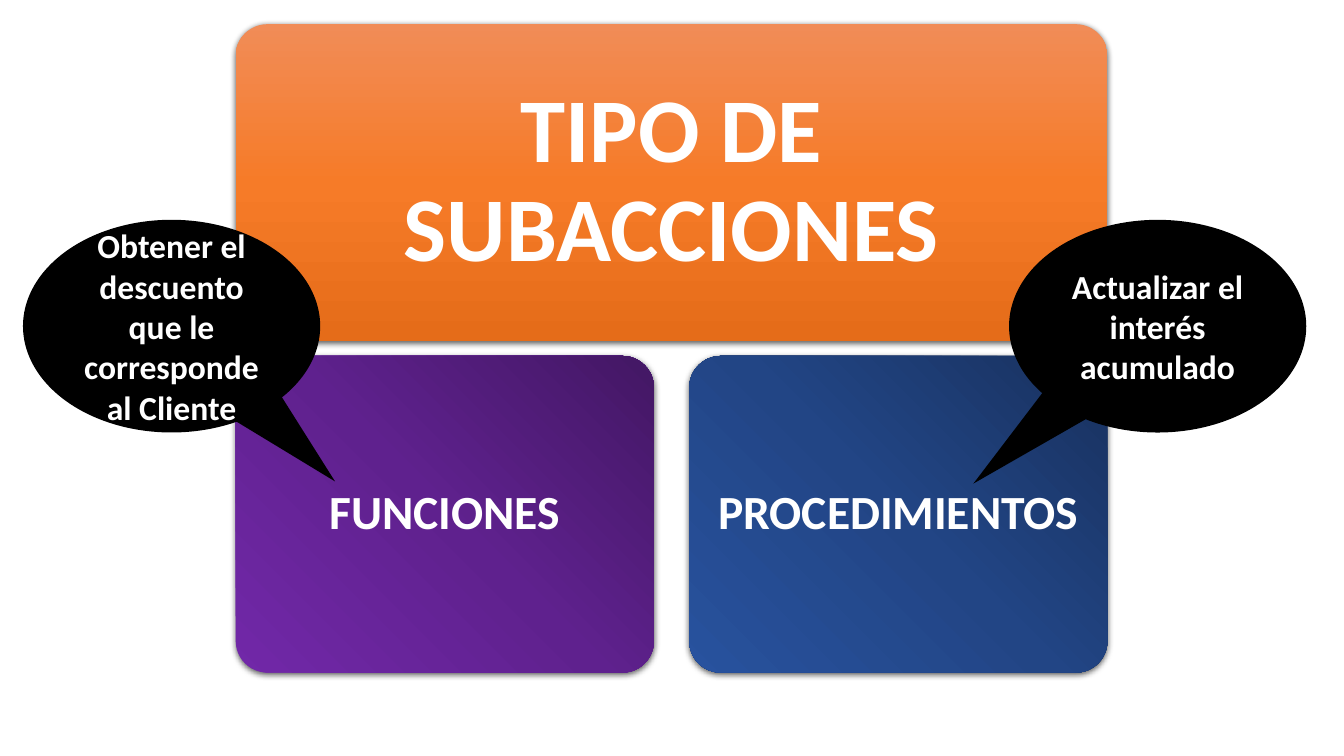
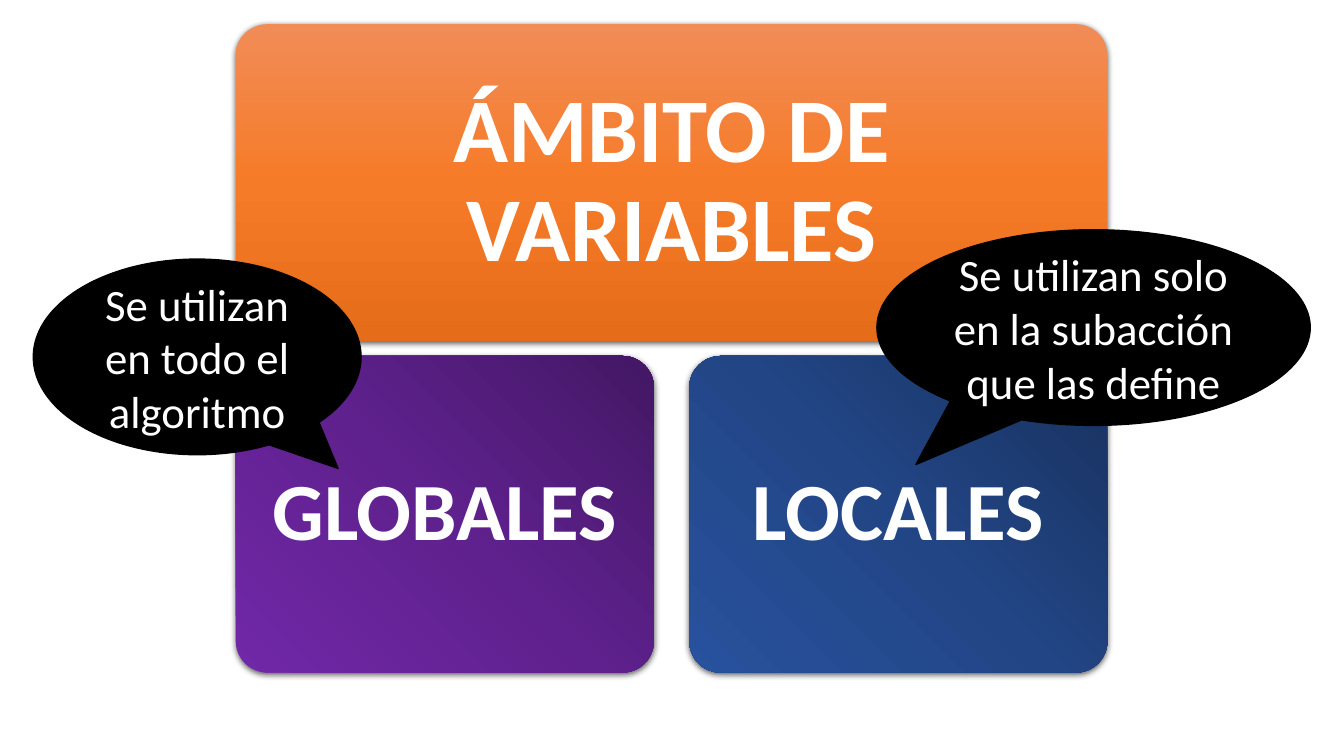
from dataclasses import dataclass

from pptx import Presentation
from pptx.dml.color import RGBColor
from pptx.enum.shapes import MSO_SHAPE
from pptx.enum.text import MSO_ANCHOR, PP_ALIGN
from pptx.oxml import parse_xml
from pptx.oxml.ns import nsdecls, qn
from pptx.util import Cm, Pt

ROUNDED = MSO_SHAPE.ROUNDED_RECTANGLE
BUBBLE = MSO_SHAPE.OVAL_CALLOUT
MIDDLE = MSO_ANCHOR.MIDDLE
CENTER = PP_ALIGN.CENTER

# Gradient directions, as DrawingML elements
DOWNWARD = '<a:lin ang="5400000" scaled="0"/>'
DIAGONAL = '<a:lin ang="8100000" scaled="0"/>'
FROM_TOP_RIGHT = ('<a:path path="circle">'
                  '<a:fillToRect l="100000" b="100000"/></a:path>')


@dataclass(frozen=True)
class Theme:
    font: str = "Calibri"
    text: str = "FFFFFF"
    bubble: str = "000000"
    shadow: str = "000000"
    orange: tuple = ("F18C57", "F67B28", "E56C19")
    purple: tuple = ("431764", "5F218E", "7128A8")
    blue: tuple = ("18315E", "224585", "28529E")
    title_size: int = 65


THEME = Theme()

# Diagram grid, in centimetres: one wide card above two equal ones
LEFT, TOP = 5.94, 0.61
WIDTH, CARD_HEIGHT = 21.97, 7.98
COLUMN_GAP, ROW_GAP = 0.89, 0.38
HALF_WIDTH = (WIDTH - COLUMN_GAP) / 2
RIGHT_COLUMN = LEFT + HALF_WIDTH + COLUMN_GAP
SECOND_ROW = TOP + CARD_HEIGHT + ROW_GAP


def write_text(frame, text, *, size, bold=True, line_spacing=None, inset=None):
    """Put one centred paragraph in a text frame."""
    frame.word_wrap = True
    frame.vertical_anchor = MIDDLE
    if inset is not None:
        frame.margin_left = frame.margin_right = Cm(inset)
        frame.margin_top = frame.margin_bottom = Cm(inset)
    paragraph = frame.paragraphs[0]
    paragraph.alignment = CENTER
    if line_spacing is not None:
        paragraph.line_spacing = line_spacing
    run = paragraph.add_run()
    run.text = text
    run.font.name = THEME.font
    run.font.size = Pt(size)
    run.font.bold = bold
    run.font.color.rgb = RGBColor.from_string(THEME.text)


class Deck:
    def __init__(self, theme):
        self.theme = theme
        self.presentation = Presentation()
        self.presentation.slide_width = Cm(33.87)
        self.presentation.slide_height = Cm(19.05)
        self.slide = None

    def new_slide(self):
        blank = self.presentation.slide_layouts[6]
        self.slide = self.presentation.slides.add_slide(blank)

    def add_plain(self, kind, box, adjustments):
        """Add a preset shape without outline or shadow."""
        shape = self.slide.shapes.add_shape(kind, *map(Cm, box))
        for index, value in enumerate(adjustments):
            shape.adjustments[index] = value
        shape.shadow.inherit = False
        shape.line.fill.background()
        return shape

    def card(self, text, box, colors, direction, *, size, inset):
        card = self.add_plain(ROUNDED, box, [0.1])
        # Three-stop gradient
        stops = "".join(
            f'<a:gs pos="{index * 50000}"><a:srgbClr val="{color}"/></a:gs>'
            for index, color in enumerate(colors))
        card.fill.gradient()
        properties = card.element.spPr
        properties.replace(properties.find(qn("a:gradFill")), parse_xml(
            f'<a:gradFill {nsdecls("a")} rotWithShape="1">'
            f'<a:gsLst>{stops}</a:gsLst>{direction}</a:gradFill>'))
        # Soft shadow below
        properties.find(qn("a:effectLst")).append(parse_xml(
            f'<a:outerShdw {nsdecls("a")} blurRad="{Pt(4.5)}" '
            f'dist="{Pt(1.5)}" dir="5400000" algn="ctr" rotWithShape="0">'
            f'<a:srgbClr val="{self.theme.shadow}"><a:alpha val="63000"/>'
            f'</a:srgbClr></a:outerShdw>'))
        write_text(card.text_frame, text, size=size, line_spacing=0.9,
                   inset=inset)

    def bubble(self, text, box, tip, *, size, bold, outline):
        bubble = self.add_plain(BUBBLE, box, tip)
        color = RGBColor.from_string(self.theme.bubble)
        bubble.fill.solid()
        bubble.fill.fore_color.rgb = color
        if outline:
            bubble.line.color.rgb = color
            bubble.line.width = Pt(outline)
        write_text(bubble.text_frame, text, size=size, bold=bold)

    def diagram(self, title, branches, *, size, inset):
        """Draw the title card and its two branches."""
        theme = self.theme
        self.card(title, (LEFT, TOP, WIDTH, CARD_HEIGHT), theme.orange,
                  DOWNWARD, size=theme.title_size, inset=0.69)
        looks = ((LEFT, theme.purple, FROM_TOP_RIGHT),
                 (RIGHT_COLUMN, theme.blue, DIAGONAL))
        for branch, (left, colors, direction) in zip(branches, looks):
            self.card(branch, (left, SECOND_ROW, HALF_WIDTH, CARD_HEIGHT),
                      colors, direction, size=size, inset=inset)


# Content: each bubble has its text, box and pointer tip
TOPICS = [
    {"title": "TIPO DE SUBACCIONES",
     "branches": ("FUNCIONES", "PROCEDIMIENTOS"),
     "branch_style": {"size": 34, "inset": 0.36},
     "bubble_style": {"size": 24, "bold": True, "outline": 0},
     "bubbles": [
         ("Obtener el descuento que le corresponde al Cliente",
          (0.58, 5.54, 7.49, 5.36), (0.55, 0.73)),
         ("Actualizar el interés acumulado",
          (25.43, 5.54, 7.49, 5.36), (-0.62, 0.74))]},
    {"title": "ÁMBITO DE VARIABLES",
     "branches": ("GLOBALES", "LOCALES"),
     "branch_style": {"size": 58, "inset": 0.61},
     "bubble_style": {"size": 32, "bold": False, "outline": 1},
     "bubbles": [
         ("Se utilizan en todo el algoritmo",
          (0.84, 6.53, 8.26, 4.93), (0.43, 0.57)),
         ("Se utilizan solo en la subacción que las define",
          (22.1, 5.79, 10.92, 4.93), (-0.41, 0.7))]},
]


def main():
    deck = Deck(THEME)
    for topic in TOPICS:
        deck.new_slide()
        deck.diagram(topic["title"], topic["branches"],
                     **topic["branch_style"])
        for text, box, tip in topic["bubbles"]:
            deck.bubble(text, box, tip, **topic["bubble_style"])
    deck.presentation.save("out.pptx")


if __name__ == "__main__":
    main()
